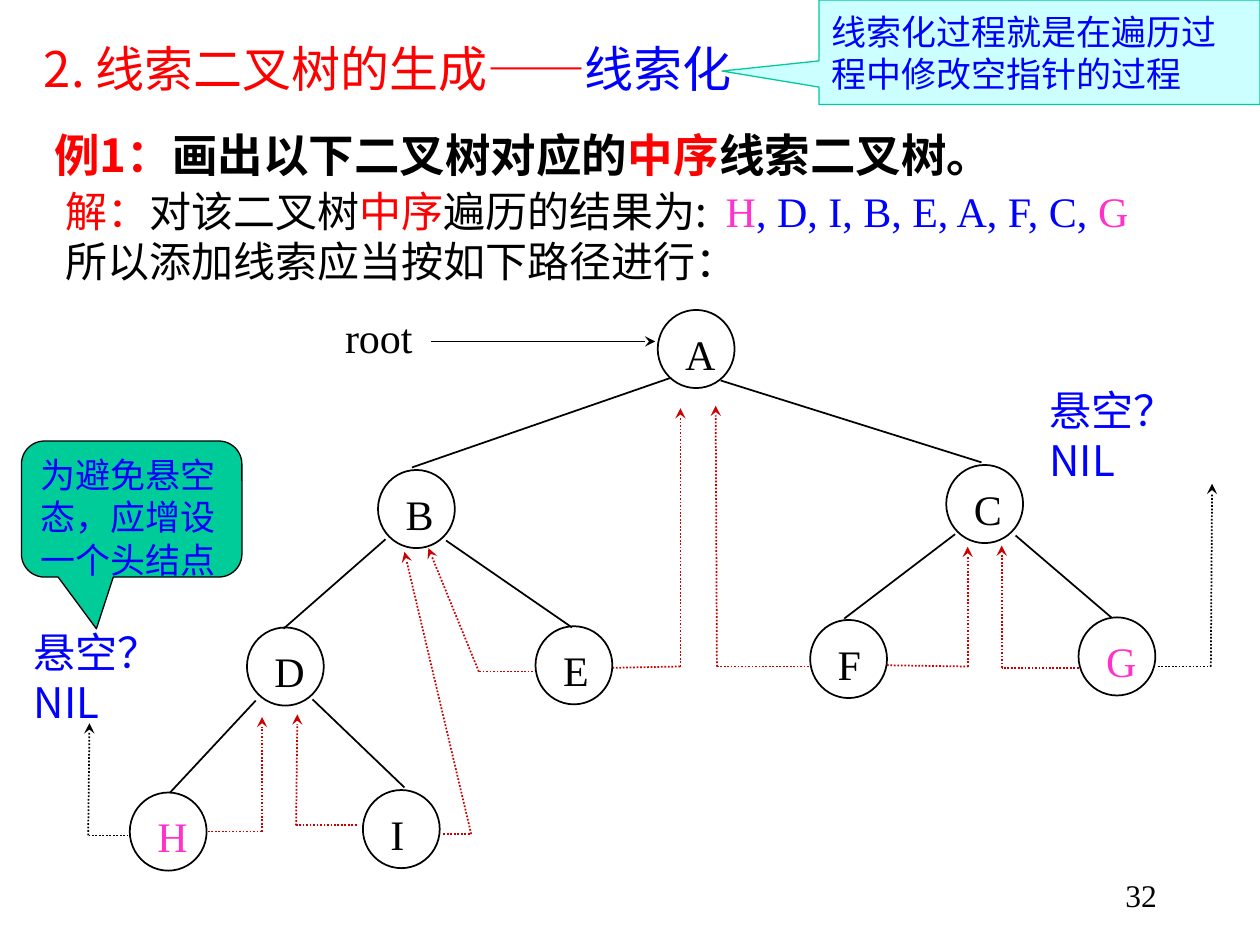
import itertools

import pptx
import pptx.dml.color
import pptx.enum.dml
import pptx.enum.shapes
import pptx.enum.text
import pptx.oxml
import pptx.oxml.ns
import pptx.util

RGBColor = pptx.dml.color.RGBColor
Shape = pptx.enum.shapes.MSO_SHAPE
Anchor = pptx.enum.text.MSO_ANCHOR
Align = pptx.enum.text.PP_ALIGN

BLACK = RGBColor(0x00, 0x00, 0x00)
RED = RGBColor(0xFF, 0x00, 0x00)
DARK_RED = RGBColor(0xCC, 0x00, 0x00)
BLUE = RGBColor(0x00, 0x00, 0xFF)
PINK = RGBColor(0xFF, 0x33, 0xCC)
GREEN = RGBColor(0x00, 0xCC, 0x99)
PALE_CYAN = RGBColor(0xCC, 0xFF, 0xFF)

SERIF = "Times New Roman"
SANS = "Noto Sans CJK SC"

# The slide is a grid of 100 columns by 75 rows
CELL = pptx.util.Inches(0.1)
COLUMNS, ROWS = 100, 75
NODE_WIDTH, NODE_HEIGHT = 6.1, 6.2

# Letter: left, top, label width, colour
NODES = {
    "A": (52.2, 24.6, 4.4, BLACK),
    "B": (30, 37.3, 4.2, BLACK),
    "C": (75.1, 36.9, 4.2, BLACK),
    "D": (19.6, 49.8, 4.4, BLACK),
    "E": (42.5, 49.7, 4.1, BLACK),
    "F": (64.3, 49.2, 3.9, BLACK),
    "G": (85.6, 49, 4.4, PINK),
    "H": (10.3, 62.9, 4.4, PINK),
    "I": (28.8, 62.7, 3.1, BLACK),
}

# Parent to child
EDGES = [
    [(53.2, 30), (32.7, 37.1)],
    [(57.2, 30.2), (77.9, 36.7)],
    [(30.6, 42.8), (22.5, 49.9)],
    [(35.4, 42.9), (45.4, 49.8)],
    [(75.8, 42.4), (67, 49.1)],
    [(80.6, 42.5), (88.2, 49)],
    [(20.3, 55.6), (13.5, 62.9)],
    [(24.8, 55.5), (32.1, 62.5)],
]

# Dotted paths from a node to its predecessor or successor
THREADS = [
    [(35.2, 66.2), (37.4, 66.2), (32.1, 43.8)],
    [(42.3, 53.3), (38, 53.3), (34, 43.5)],
    [(28.3, 65.5), (23.5, 65.5), (23.6, 56.7)],
    [(16.5, 66), (20.8, 66), (20.8, 56.9)],
    [(64.2, 52.9), (56.9, 52.9), (56.8, 32.2)],
    [(85.6, 53), (79.5, 53), (79.5, 43.3)],
    [(48.6, 53), (54, 52.9), (54, 32.4)],
    [(70.4, 52.8), (76.8, 52.9), (76.8, 43.4)],
]
NIL_THREADS = [
    [(10.2, 66.3), (7, 66.3), (7.1, 57.4)],
    [(91.9, 52.9), (96.1, 52.9), (96.2, 38.4)],
]


def cells(*values):
    return [round(value * CELL) for value in values]


def write(shape, paragraphs, size, anchor=Anchor.TOP, wrap=True,
          align=Align.LEFT, spacing=None, bold=False):
    """Fill a shape with paragraphs, each a list of (text, font, colour)."""
    frame = shape.text_frame
    frame.auto_size = pptx.enum.text.MSO_AUTO_SIZE.NONE
    frame.word_wrap = wrap
    frame.vertical_anchor = anchor
    for index, runs in enumerate(paragraphs):
        paragraph = frame.add_paragraph() if index else frame.paragraphs[0]
        paragraph.alignment = align
        paragraph.space_before = pptx.util.Pt(0)
        if spacing:
            paragraph.line_spacing = pptx.util.Pt(size * spacing)
        for text, font, colour in runs:
            run = paragraph.add_run()
            run.text = text
            run.font.size = pptx.util.Pt(size)
            run.font.bold = bold
            run.font.color.rgb = colour
            run.font.name = font
            east_asian = pptx.oxml.parse_xml(
                f'<a:ea {pptx.oxml.ns.nsdecls("a")} typeface="{SANS}"/>')
            run.font._element.append(east_asian)


def add_text(slide, box, paragraphs, size, **options):
    write(slide.shapes.add_textbox(*cells(*box)), paragraphs, size, **options)


def add_outlined(slide, kind, box, line, width, fill=None):
    shape = slide.shapes.add_shape(kind, *cells(*box))
    shape.shadow.inherit = False
    if fill is None:
        shape.fill.background()
    else:
        shape.fill.solid()
        shape.fill.fore_color.rgb = fill
    shape.line.color.rgb = line
    shape.line.width = pptx.util.Pt(width)
    return shape


def add_callout(slide, kind, box, tip, fill, line, text, anchor):
    shape = add_outlined(slide, kind, box, line, 0.75, fill)
    for index, offset in enumerate(tip):
        shape.adjustments[index] = offset
    write(shape, [[(text, SERIF, BLUE)]], 20, anchor=anchor, spacing=1.2)


def add_path(slide, points, colour=BLACK, dotted=False, arrow=False):
    """Join the points with straight lines; an arrow goes on the last one."""
    for start, end in itertools.pairwise(points):
        connector = slide.shapes.add_connector(
            pptx.enum.shapes.MSO_CONNECTOR.STRAIGHT, *cells(*start, *end))
        connector.line.color.rgb = colour
        connector.line.width = pptx.util.Pt(1)
        if dotted:
            connector.line.dash_style = pptx.enum.dml.MSO_LINE.ROUND_DOT
        namespace = pptx.oxml.ns.nsdecls("a")
        if arrow and end == points[-1]:
            connector.line._get_or_add_ln().append(pptx.oxml.parse_xml(
                f'<a:tailEnd {namespace} type="stealth"/>'))
        connector._element.spPr.append(
            pptx.oxml.parse_xml(f"<a:effectLst {namespace}/>"))


def add_node(slide, letter, left, top, label_width, colour):
    add_outlined(slide, Shape.OVAL, (left, top, NODE_WIDTH, NODE_HEIGHT), BLACK, 1)
    add_text(slide, (left + 1.2, top + 0.95, label_width, 5),
             [[(letter, SERIF, colour)]], 24, wrap=False)


def place_title(slide):
    title = slide.shapes.title
    title.left, title.top, title.width, title.height = cells(3.3, 9.2, 85, 5)
    write(title, [[("例1：", SANS, RED), ("画出以下二叉树对应的", SANS, BLACK),
                   ("中序", SANS, RED), ("线索二叉树。", SANS, BLACK)]],
          26, spacing=1.3, bold=True)


def main():
    presentation = pptx.Presentation()
    presentation.slide_width, presentation.slide_height = cells(COLUMNS, ROWS)
    slide = presentation.slides.add_slide(presentation.slide_layouts[5])
    place_title(slide)

    # Threads and tree
    for points in THREADS:
        add_path(slide, points, DARK_RED, dotted=True, arrow=True)
    for points in NIL_THREADS:
        add_path(slide, points, dotted=True, arrow=True)
    for points in EDGES:
        add_path(slide, points)
    for letter, node in NODES.items():
        add_node(slide, letter, *node)
    add_path(slide, [(34.2, 27.1), (52, 27.1)], arrow=True)
    add_text(slide, (26.4, 24.2, 7.4, 5), [[("root", SERIF, BLACK)]], 24, wrap=False)

    # Dangling ends
    for box in ((1.7, 49.2, 12.5, 9), (82.3, 30, 17.7, 9)):
        add_text(slide, box, [[("悬空？", SERIF, BLUE)], [("NIL", SANS, BLUE)]],
                 24, spacing=1.2)

    # Heading and solution
    add_text(slide, (2.5, 2.5, 60.8, 5.8),
             [[("2. 线索二叉树的生成", SANS, RED), ("——", SERIF, RED),
               ("线索化", SANS, BLUE)]], 28, anchor=Anchor.MIDDLE)
    add_text(slide, (4.2, 14.2, 93.3, 9),
             [[("解：", SANS, RED), ("对该二叉树", SANS, BLACK), ("中序", SANS, RED),
               ("遍历的结果为:  ", SANS, BLACK), ("H", SERIF, PINK),
               (", D, I, B, E, A, F, C,", SERIF, BLUE), (" G", SERIF, PINK)],
              [("所以添加线索应当按如下路径进行：", SANS, BLACK)]], 24, spacing=1.2)

    # Callouts
    add_callout(slide, Shape.ROUNDED_RECTANGULAR_CALLOUT, (1.7, 35, 17.5, 10.8),
                (-0.16, 0.88, 0.17), GREEN, BLACK,
                "为避免悬空态，应增设一个头结点", Anchor.TOP)
    add_callout(slide, Shape.RECTANGULAR_CALLOUT, (65, 0, 35, 8.3),
                (-0.72, 0.18), PALE_CYAN, GREEN,
                "线索化过程就是在遍历过程中修改空指针的过程", Anchor.MIDDLE)

    # Page number
    add_text(slide, (72, 69, 20.8, 5), [[("32", SERIF, BLACK)]], 18, align=Align.RIGHT)

    presentation.save("out.pptx")


if __name__ == "__main__":
    main()
